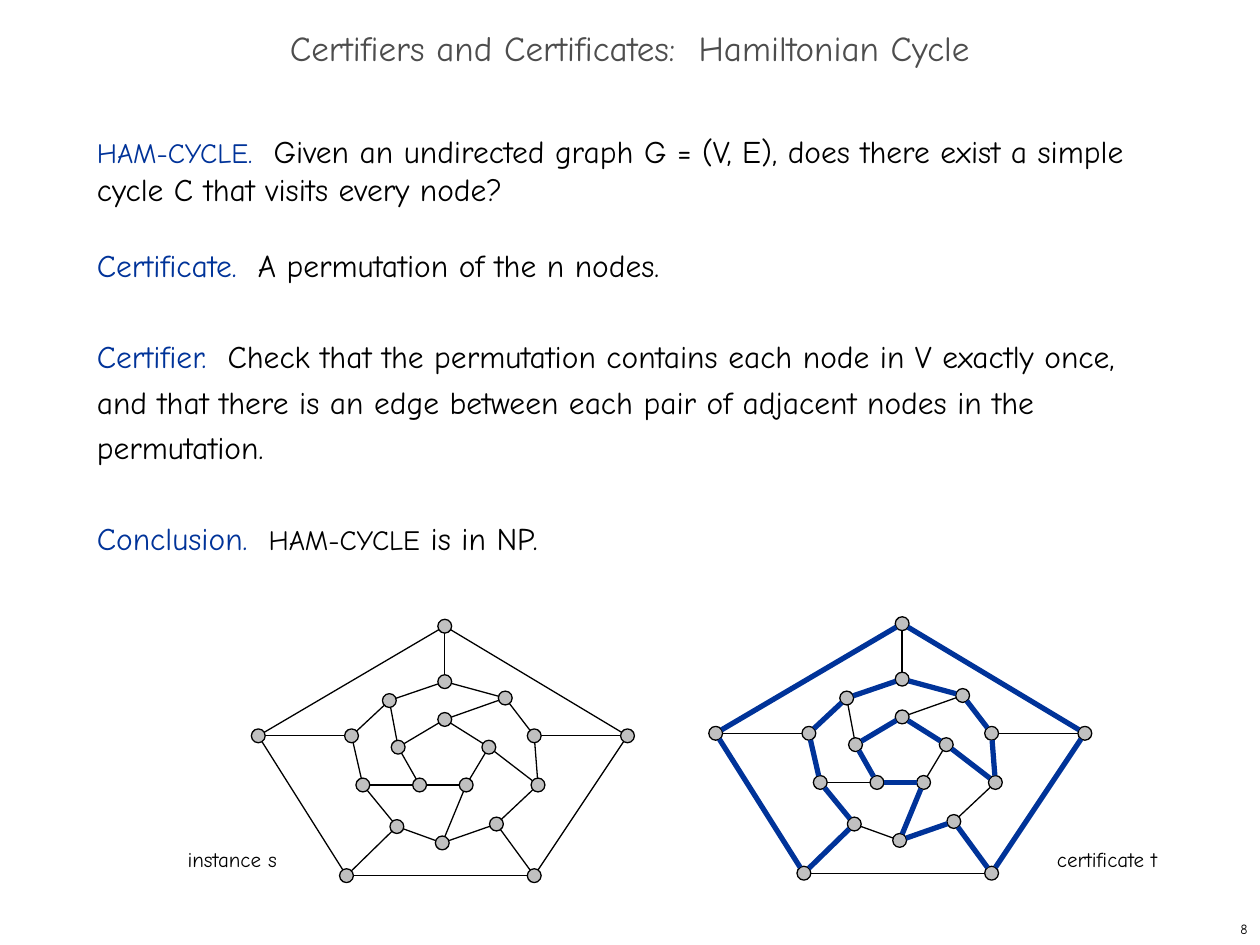
from math import hypot

from lxml import etree
from pptx import Presentation
from pptx.dml.color import RGBColor
from pptx.enum.shapes import MSO_CONNECTOR, MSO_SHAPE
from pptx.enum.text import MSO_ANCHOR, PP_ALIGN
from pptx.oxml.ns import qn
from pptx.util import Inches, Pt

LEFT, CENTER, RIGHT = PP_ALIGN.LEFT, PP_ALIGN.CENTER, PP_ALIGN.RIGHT
TOP, MIDDLE = MSO_ANCHOR.TOP, MSO_ANCHOR.MIDDLE
STRAIGHT, OVAL = MSO_CONNECTOR.STRAIGHT, MSO_SHAPE.OVAL

FONT = "Comic Neue"
BLACK = RGBColor(0x00, 0x00, 0x00)
BLUE = RGBColor(0x00, 0x33, 0x99)
DARK_GRAY = RGBColor(0x4D, 0x4D, 0x4D)
NODE_GRAY = RGBColor(0xC0, 0xC0, 0xC0)

TITLE = "Certifiers and Certificates:  Hamiltonian Cycle"

# Each paragraph: line spacing, space before, runs of (text, size, colour)
BODY = [
    (None, 0, [
        ("HAM-CYCLE.", 16, BLUE),
        ("  ", 18, BLUE),
        ("Given an undirected graph G = (V, E), does there exist a simple "
         "cycle C that visits every node?", 18, BLACK)]),
    (None, 22, [
        ("Certificate.  ", 18, BLUE),
        ("A permutation of the n nodes.", 18, BLACK)]),
    (Pt(26), 26, [
        ("Certifier.  ", 18, BLUE),
        ("Check that the permutation contains each node in V exactly once, "
         "and that there is an edge between each pair of adjacent nodes in "
         "the permutation.", 18, BLACK)]),
    (Pt(26), 26, [
        ("Conclusion.  ", 18, BLUE),
        ("HAM-CYCLE", 16, BLACK),
        (" is in NP.", 18, BLACK)]),
]

# Node centres of the three rings, clockwise from the top
RINGS = {
    "inner": [(3.53, 5.71), (3.88, 5.93), (3.70, 6.23), (3.33, 6.23),
              (3.16, 5.93)],
    "middle": [(3.53, 5.41), (4.01, 5.54), (4.24, 5.84), (4.27, 6.23),
               (3.94, 6.54), (3.51, 6.69), (3.15, 6.56), (2.88, 6.23),
               (2.79, 5.84), (3.09, 5.56)],
    "outer": [(3.53, 4.97), (4.98, 5.84), (4.24, 6.95), (2.75, 6.95),
              (2.05, 5.84)],
}
CYCLE = [("outer", 0), ("outer", 1), ("outer", 2), ("middle", 4),
         ("middle", 5), ("inner", 2), ("inner", 3), ("inner", 4),
         ("inner", 0), ("inner", 1), ("middle", 3), ("middle", 2),
         ("middle", 1), ("middle", 0), ("middle", 9), ("middle", 8),
         ("middle", 7), ("middle", 6), ("outer", 3), ("outer", 4)]
RADIUS = 0.055
CERTIFICATE_OFFSET = (3.63, -0.02)


def closed(nodes):
    """Pair each node with the next one, and the last with the first."""
    return list(zip(nodes, nodes[1:] + nodes[:1]))


def graph_edges():
    edges = []
    for ring, nodes in RINGS.items():
        edges += closed([(ring, i) for i in range(len(nodes))])
    for i in range(5):
        edges.append((("outer", i), ("middle", 2 * i)))
        edges.append((("inner", i), ("middle", 2 * i + 1)))
    return edges


def center(node, offset):
    ring, i = node
    x, y = RINGS[ring][i]
    return x + offset[0], y + offset[1]


def add_edge(shapes, start, end, color, width):
    """Draw a line between the rims of two nodes."""
    (x1, y1), (x2, y2) = start, end
    length = hypot(x2 - x1, y2 - y1)
    dx, dy = (RADIUS * d / length for d in (x2 - x1, y2 - y1))
    line = shapes.add_connector(STRAIGHT, Inches(x1 + dx), Inches(y1 + dy),
                                Inches(x2 - dx), Inches(y2 - dy))
    line.line.color.rgb = color
    line.line.width = Pt(width)
    etree.SubElement(line._element.spPr, qn("a:effectLst"))


def add_edges(shapes, edges, offset, color, width):
    for a, b in edges:
        add_edge(shapes, center(a, offset), center(b, offset), color, width)


def add_graph(shapes, offset):
    add_edges(shapes, graph_edges(), offset, BLACK, 0.75)
    for ring, nodes in RINGS.items():
        for i in range(len(nodes)):
            x, y = center((ring, i), offset)
            sp = shapes.add_shape(OVAL, Inches(x - RADIUS), Inches(y - RADIUS),
                                  Inches(2 * RADIUS), Inches(2 * RADIUS))
            sp.shadow.inherit = False
            sp.fill.solid()
            sp.fill.fore_color.rgb = NODE_GRAY
            sp.line.color.rgb = BLACK
            sp.line.width = Pt(0.75)


def place(sp, left, top, width, height):
    sp.left, sp.top = Inches(left), Inches(top)
    sp.width, sp.height = Inches(width), Inches(height)


def add_run(p, text, size=18, color=BLACK):
    r = p.add_run()
    r.text = text
    r.font.name = FONT
    r.font.size = Pt(size)
    r.font.color.rgb = color


def add_text(shapes, text, box, size=12, align=LEFT, anchor=TOP):
    tf = shapes.add_textbox(*(Inches(v) for v in box)).text_frame
    tf.word_wrap = False
    tf.vertical_anchor = anchor
    tf.paragraphs[0].alignment = align
    add_run(tf.paragraphs[0], text, size=size)


def add_title(slide):
    title = slide.shapes.title
    place(title, 0, 0.17, 10, 0.5)
    tf = title.text_frame
    tf.vertical_anchor = MIDDLE
    p = tf.paragraphs[0]
    p.alignment = CENTER
    p.line_spacing = 0.7
    add_run(p, TITLE, size=20, color=DARK_GRAY)


def add_body(shapes):
    box = (Inches(v) for v in (0.67, 1, 8.58, 3.6))
    tf = shapes.add_textbox(*box).text_frame
    tf.word_wrap = True
    for i, (spacing, before, runs) in enumerate(BODY):
        p = tf.add_paragraph() if i else tf.paragraphs[0]
        p.line_spacing = spacing
        p.space_before = Pt(before)
        for text, size, color in runs:
            add_run(p, text, size=size, color=color)


def main():
    prs = Presentation()
    prs.slide_width, prs.slide_height = Inches(10), Inches(7.5)
    slide = prs.slides.add_slide(prs.slide_layouts[5])
    shapes = slide.shapes

    add_title(slide)
    add_body(shapes)
    add_graph(shapes, (0, 0))
    add_graph(shapes, CERTIFICATE_OFFSET)
    cycle = shapes.add_group_shape()
    add_edges(cycle.shapes, closed(CYCLE), CERTIFICATE_OFFSET, BLUE, 3)
    add_text(shapes, "instance s", (1.39, 6.67, 0.91, 0.3))
    add_text(shapes, "certificate t", (8.29, 6.67, 1, 0.3))
    add_text(shapes, "8", (7.92, 7.25, 2.08, 0.25), size=8, align=RIGHT,
             anchor=MIDDLE)
    prs.save("out.pptx")


if __name__ == "__main__":
    main()
